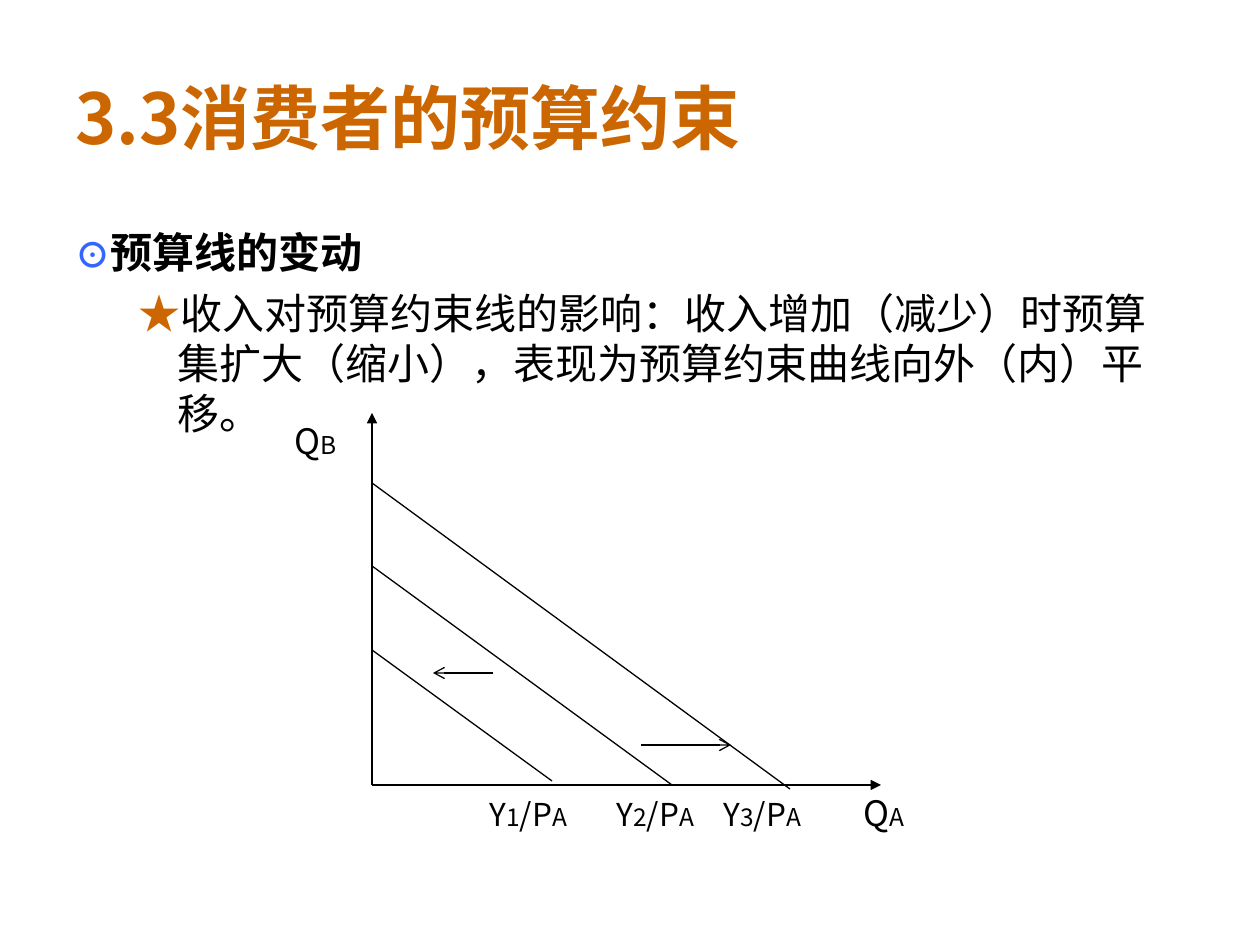
"""Build the slide on shifts of the consumer's budget line."""
from dataclasses import dataclass

from lxml import etree
from pptx import Presentation
from pptx.dml.color import RGBColor
from pptx.enum.shapes import MSO_CONNECTOR
from pptx.enum.text import MSO_ANCHOR, MSO_AUTO_SIZE, PP_ALIGN
from pptx.oxml.ns import qn
from pptx.util import Emu, Pt

STRAIGHT = MSO_CONNECTOR.STRAIGHT
MIDDLE, TOP = MSO_ANCHOR.MIDDLE, MSO_ANCHOR.TOP
LEFT = PP_ALIGN.LEFT
NO_FIT = MSO_AUTO_SIZE.NONE
EMU_PER_PX = 914400 / 126
TITLE_ONLY = 5


@dataclass(frozen=True)
class Theme:
    font: str = "Noto Sans CJK SC"
    accent: str = "CC6600"
    marker: str = "3366FF"
    ink: str = "000000"
    title_size: int = 40
    body_size: int = 24
    marker_size: int = 20
    axis_size: int = 20
    intercept_size: int = 18
    subscript_size: int = 14
    line_width: float = 0.75


def px(length):
    return Emu(round(length * EMU_PER_PX))


class SlideBuilder:
    def __init__(self, slide, theme):
        self.slide = slide
        self.theme = theme

    def style_run(self, run, size, color, bold=False):
        run.font.name = self.theme.font
        run.font.size = Pt(size)
        run.font.bold = bold
        run.font.color.rgb = RGBColor.from_string(color)
        east_asian = etree.SubElement(run.font._element, qn("a:ea"))
        east_asian.set("typeface", self.theme.font)

    def add_run(self, paragraph, text, size, color, bold=False):
        run = paragraph.add_run()
        run.text = text
        self.style_run(run, size, color, bold)

    def title(self, text, left, top, width, height):
        heading = self.slide.shapes.title
        heading.left, heading.top = px(left), px(top)
        heading.width, heading.height = px(width), px(height)
        frame = heading.text_frame
        frame.text = text
        frame.auto_size = NO_FIT
        frame.vertical_anchor = MIDDLE
        paragraph = frame.paragraphs[0]
        paragraph.alignment = LEFT
        self.style_run(paragraph.runs[0], self.theme.title_size, self.theme.accent, True)

    def text_frame(self, left, top, width, height):
        box = self.slide.shapes.add_textbox(px(left), px(top), px(width), px(height))
        frame = box.text_frame
        frame.word_wrap = True
        frame.vertical_anchor = TOP
        return frame

    def outline_item(self, paragraph, level, margin, hanging, runs):
        paragraph.level = level
        properties = paragraph._p.get_or_add_pPr()
        properties.set("marL", str(px(margin)))
        properties.set("indent", str(-px(hanging)))
        for text, size, color, bold in runs:
            self.add_run(paragraph, text, size, color, bold)

    def label(self, parts, size, left, top):
        """Write parts that alternate between full size and subscript size."""
        paragraph = self.text_frame(left, top, 107, 60).paragraphs[0]
        for index, part in enumerate(parts):
            part_size = self.theme.subscript_size if index % 2 else size
            self.add_run(paragraph, part, part_size, self.theme.ink)

    def line(self, start, end, arrowhead=None):
        connector = self.slide.shapes.add_connector(
            STRAIGHT, *(px(value) for value in (*start, *end)))
        connector.line.color.rgb = RGBColor.from_string(self.theme.ink)
        connector.line.width = Pt(self.theme.line_width)
        if arrowhead:
            tail = etree.SubElement(connector.line._get_or_add_ln(), qn("a:tailEnd"))
            tail.set("type", arrowhead)
        etree.SubElement(connector._element.spPr, qn("a:effectLst"))


def add_outline(builder):
    theme = builder.theme
    frame = builder.text_frame(63, 220, 1134, 624)
    builder.outline_item(frame.paragraphs[0], 0, 48, 48, [
        ("⊙", theme.marker_size, theme.marker, True),
        ("预算线的变动", theme.body_size, theme.ink, True),
    ])
    effect = frame.add_paragraph()
    effect.space_before = Pt(6)
    builder.outline_item(effect, 1, 102, 39, [
        ("★", theme.body_size, theme.accent, False),
        ("收入对预算约束线的影响：收入增加（减少）时预算集扩大（缩小），"
         "表现为预算约束曲线向外（内）平移。", theme.body_size, theme.ink, False),
    ])


def add_budget_diagram(builder):
    theme = builder.theme
    origin = (372, 785)
    for axis_end in ((881, 785), (372, 413)):
        builder.line(origin, axis_end, "triangle")
    for b_intercept, a_intercept in ((650, (552, 781)), (566, (672, 785)), (483, (790, 789))):
        builder.line((origin[0], b_intercept), a_intercept)
    for shift_start, shift_end in (((493, 673), (433, 673)), ((641, 745), (731, 745))):
        builder.line(shift_start, shift_end, "arrow")
    builder.label(("Q", "B"), theme.axis_size, 282, 413)
    builder.label(("Q", "A"), theme.axis_size, 851, 785)
    for income, left in enumerate((477, 604, 711), start=1):
        builder.label(("Y", str(income), "/P", "A"), theme.intercept_size, left, 789)


def main():
    presentation = Presentation()
    presentation.slide_width, presentation.slide_height = px(1260), px(945)
    slide = presentation.slides.add_slide(presentation.slide_layouts[TITLE_ONLY])
    builder = SlideBuilder(slide, Theme())
    builder.title("3.3消费者的预算约束", 63, 38, 1134, 158)
    add_outline(builder)
    add_budget_diagram(builder)
    presentation.save("out.pptx")


if __name__ == "__main__":
    main()
